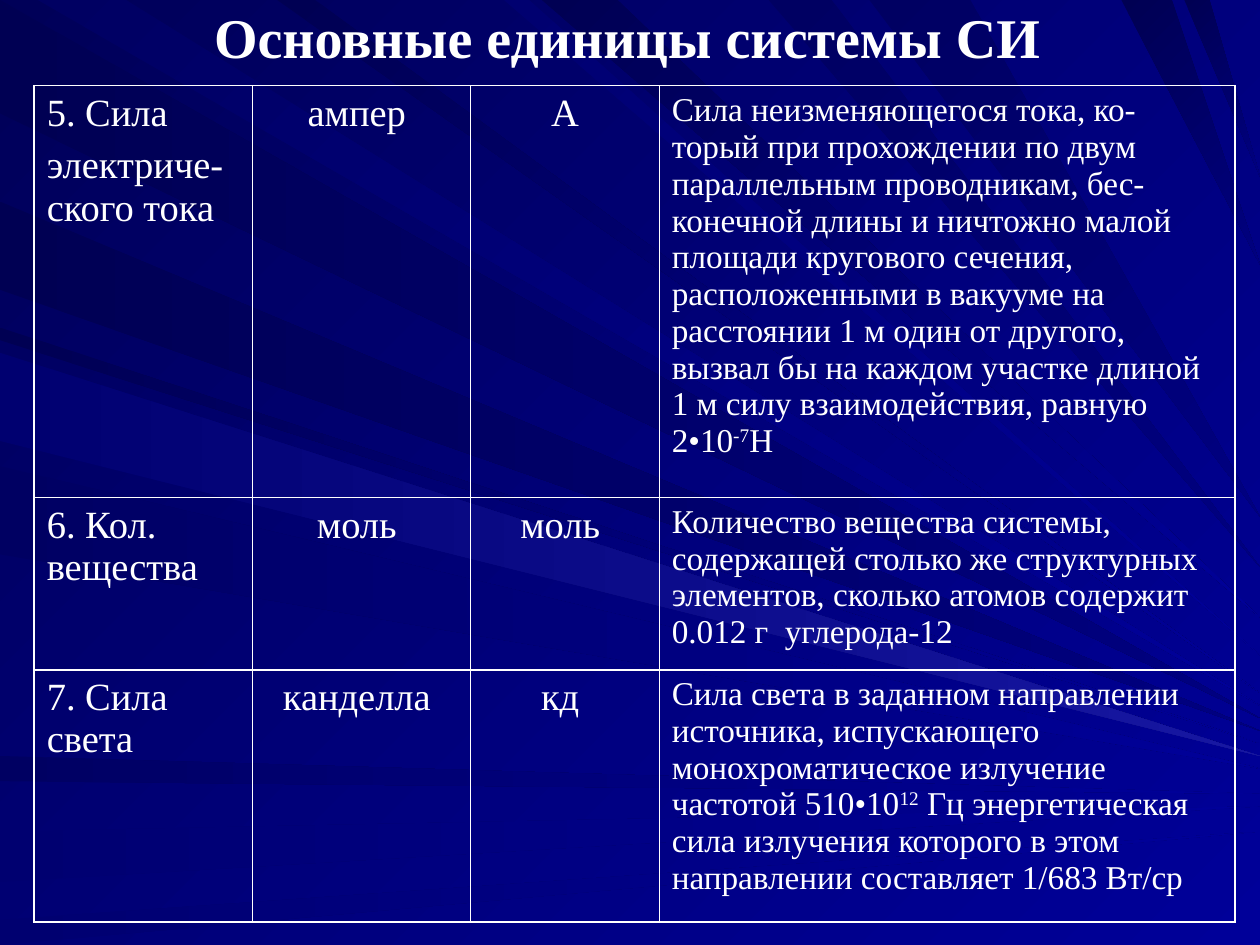
import lxml.etree
import pptx
import pptx.dml.color
import pptx.enum.text
import pptx.oxml.ns
import pptx.util
from pptx.util import Cm

# Content: text between ^ marks is raised
TITLE = "Основные единицы системы СИ "
UNITS = [
    (["5. Сила", "электриче-ского тока"], ["ампер "], ["А"],
     ["Сила неизменяющегося тока, ко-торый при прохождении по двум "
      "параллельным проводникам, бес-конечной длины и ничтожно малой площади "
      "кругового сечения, расположенными в вакууме на расстоянии 1 м один от "
      "другого, вызвал бы на каждом участке длиной 1 м силу взаимодействия, "
      "равную 2•10^-7^Н"]),
    (["6. Кол. вещества"], ["моль "], ["моль "],
     ["Количество вещества системы, содержащей столько же структурных "
      "элементов, сколько атомов содержит 0.012 г  углерода-12"]),
    (["7. Сила света"], ["канделла "], ["кд "],
     ["Сила света в заданном направлении источника, испускающего "
      "монохроматическое излучение частотой 510•10^12^ Гц энергетическая сила "
      "излучения которого в этом направлении составляет 1/683 Вт/ср"]),
]

THEME = {
    "font": "Times New Roman", "text": "FFFFFF",
    "title": 32, "label": 22, "definition": 19,
    "page": "000058", "dark": "000053", "middle": "000062", "light": "000070",
    "dim": "000080", "bright": "000099", "glow": "1717A2",
    "thin": 0.45, "thick": 1.08,
}

# Rays widen from a tip on the right edge to a stretch of the left or top edge:
# edge, stretch start, stretch end, tip height (percent of page width), colours
RAYS = [
    ("left", 0, 9, 57, "dark", "dim"),
    ("top", 3, 10, 56, "middle", "bright"),
    ("left", 60, 62, 63, "middle", "bright"),
    ("left", 66, 70, 64, "light", "bright"),
    ("left", 73, 75, 66, "light", "bright"),
    ("left", 26, 27, 59, "dark", "bright"),
    ("left", 16, 23, 58, "dark", "dim"),
    ("top", 40, 42, 52, "light", "bright"),
    ("top", 43, 49, 49, "dark", "bright"),
    ("top", 61, 66, 45, "middle", "dim"),
    ("top", 89, 93, 21, "dark", "dim"),
    ("top", 94, 96, 14, "dark", "dim"),
    ("left", 28, 34, 60, "middle", "bright"),
    ("left", 37, 44, 61, "middle", "bright"),
    ("top", 22, 25, 55, "dark", "bright"),
    ("top", 69, 77, 41, "middle", "dim"),
    ("left", 28, 35, 60, "light", "glow"),
]

# Layout in centimetres
PAGE_WIDTH, PAGE_HEIGHT = 25.4, 19.05
LEFT, TABLE_TOP, WIDTH = 0.69, 1.73, 24.2
COLUMNS = [4.4, 4.4, 3.8, 11.6]
ROWS = [8.3, 3.47, 5.08]


def rgb(value):
    return pptx.dml.color.RGBColor.from_string(value)


def paint(fill, start, end, angle):
    fill.gradient()
    fill.gradient_angle = -angle % 360
    for stop, name in zip(fill.gradient_stops, (start, end)):
        stop.color.rgb = rgb(THEME[name])


def write_text(frame, paragraphs, size, bold=False, centred=False, before=0):
    align = pptx.enum.text.PP_ALIGN
    frame.word_wrap = True
    for number, text in enumerate(paragraphs):
        para = frame.add_paragraph() if number else frame.paragraphs[0]
        para.alignment = align.CENTER if centred else align.LEFT
        para.space_before = pptx.util.Pt(before)
        for index, part in enumerate(text.split("^")):
            span = para.add_run()
            span.text = part
            span.font.name = THEME["font"]
            span.font.size = pptx.util.Pt(size)
            span.font.bold = bold
            span.font.color.rgb = rgb(THEME["text"])
            if index % 2:
                span.font._element.set("baseline", "30000")


def set_border(cell, side, weight):
    qn = pptx.oxml.ns.qn
    line = lxml.etree.SubElement(cell._tc.get_or_add_tcPr(), qn("a:ln" + side),
                                 w=str(pptx.util.Pt(weight)))
    fill = lxml.etree.SubElement(line, qn("a:solidFill"))
    lxml.etree.SubElement(fill, qn("a:srgbClr"), val=THEME["text"])


deck = pptx.Presentation()
deck.slide_width, deck.slide_height = Cm(PAGE_WIDTH), Cm(PAGE_HEIGHT)
page = deck.slides.add_slide(deck.slide_layouts[6])

# Background
paint(page.background.fill, "page", "bright", 45)
for edge, first, last, tip, start, end in RAYS:
    base = [(0, first), (0, last)] if edge == "left" else [(first, 0), (last, 0)]
    builder = page.shapes.build_freeform(100, tip, scale=Cm(PAGE_WIDTH) / 100)
    builder.add_line_segments(base, close=True)
    ray = builder.convert_to_shape()
    ray.shadow.inherit = False
    ray.line.fill.background()
    paint(ray.fill, start, end, 0 if edge == "left" else 45)

# Title
box = page.shapes.add_textbox(Cm(LEFT), Cm(-0.08), Cm(WIDTH), Cm(1.63))
box.text_frame.vertical_anchor = pptx.enum.text.MSO_ANCHOR.MIDDLE
write_text(box.text_frame, [TITLE], THEME["title"], bold=True, centred=True)

# Table of units
table = page.shapes.add_table(len(ROWS), len(COLUMNS), Cm(LEFT), Cm(TABLE_TOP),
                              Cm(WIDTH), Cm(sum(ROWS))).table
table.first_row = table.horz_banding = False
for column, width in zip(table.columns, COLUMNS):
    column.width = Cm(width)
for row, height in zip(table.rows, ROWS):
    row.height = Cm(height)

thin, thick = THEME["thin"], THEME["thick"]
upright = [thick, thin, thin, thin, thick]
level = [thin, thin, thick, thick]
for r, unit in enumerate(UNITS):
    for c, paragraphs in enumerate(unit):
        cell = table.cell(r, c)
        size = THEME["definition" if c == 3 else "label"]
        write_text(cell.text_frame, paragraphs, size, centred=c in (1, 2), before=size / 4)
        for side, weight in zip("LRTB", (upright[c], upright[c + 1], level[r], level[r + 1])):
            set_border(cell, side, weight)
        cell.fill.background()

deck.save("out.pptx")
